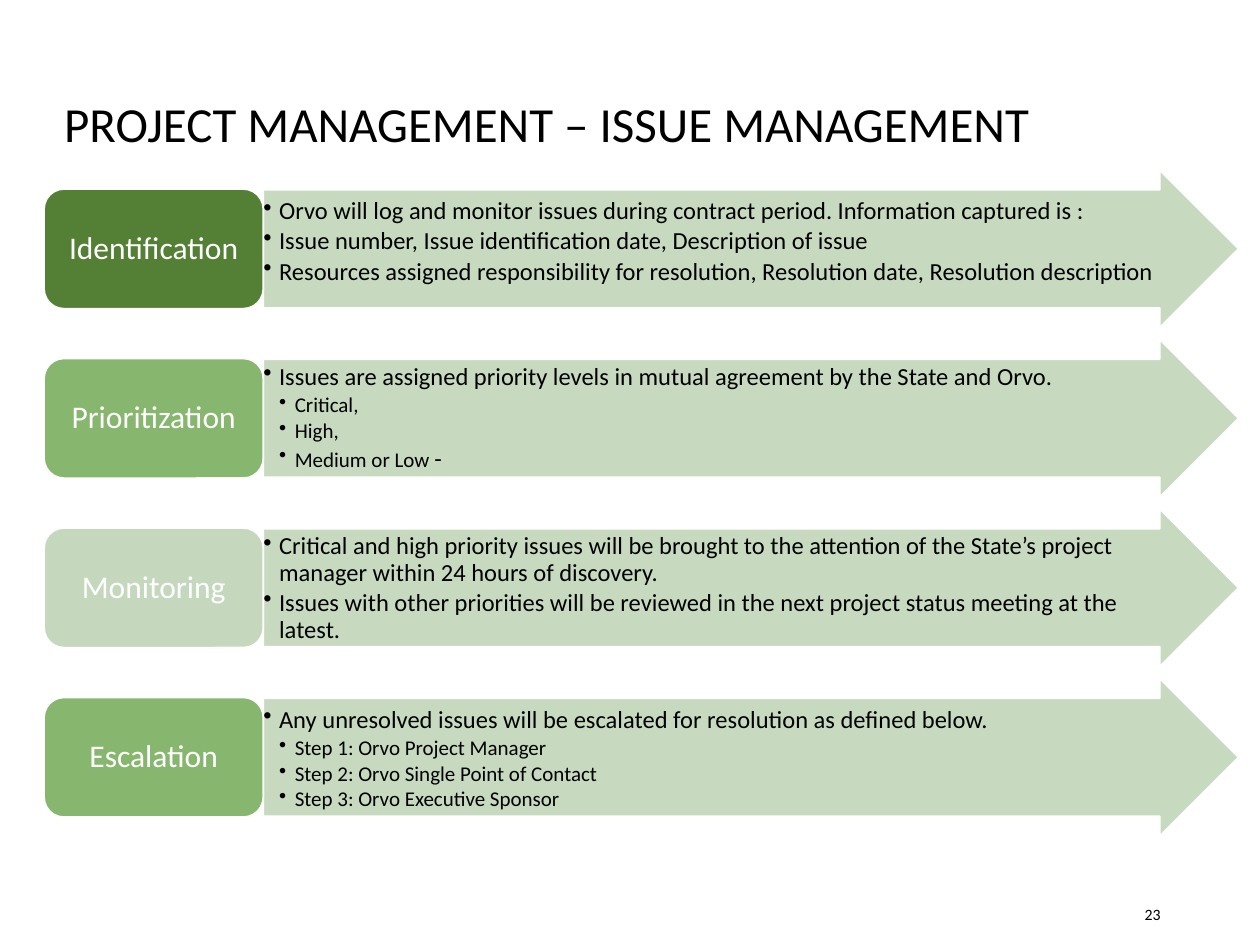
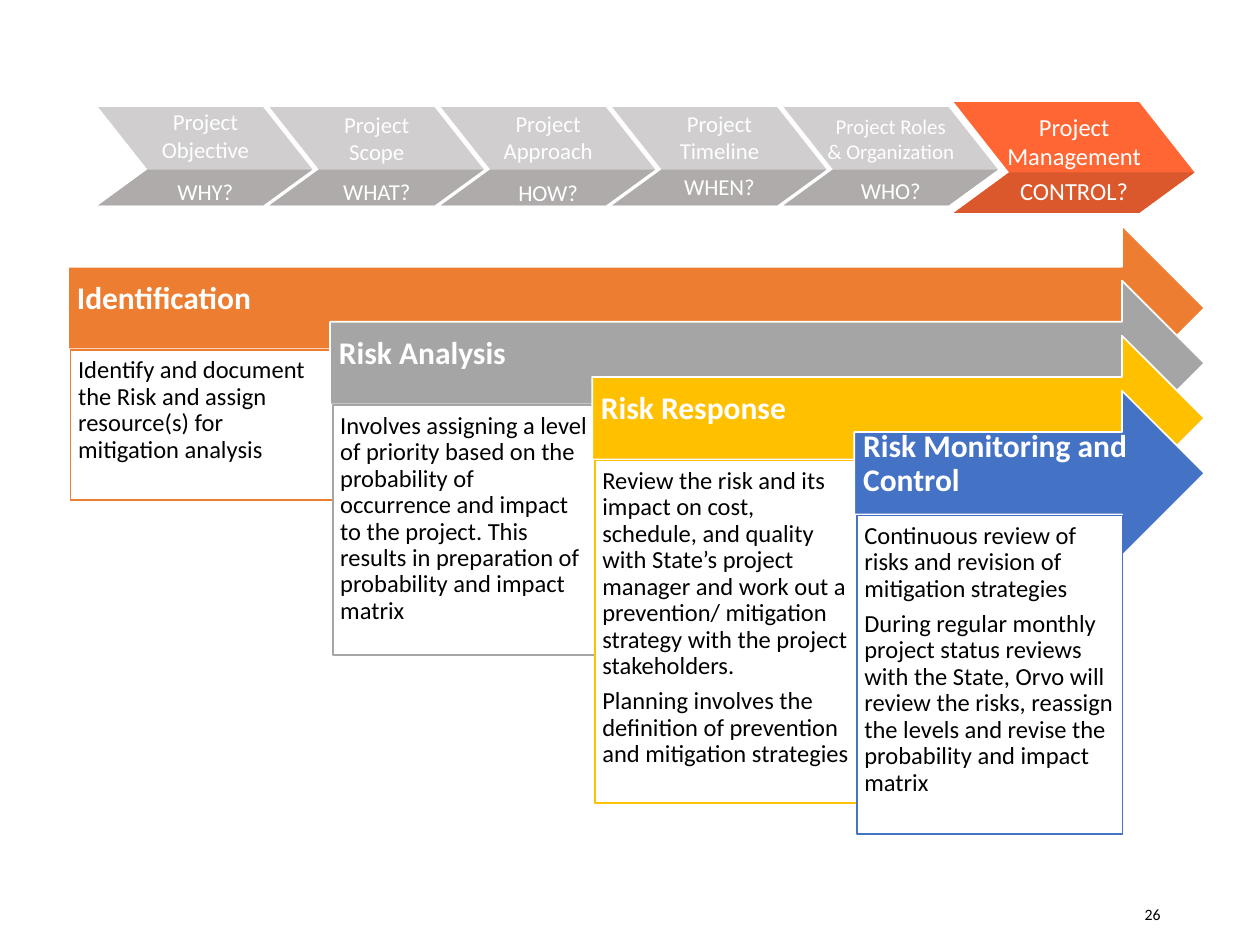
from dataclasses import dataclass

from pptx import Presentation
from pptx.dml import color
from pptx.enum import shapes, text
from pptx.oxml import xmlchemy
from pptx.util import Inches, Pt


@dataclass(frozen=True)
class Theme:
    font: str = "Calibri"
    ink: str = "000000"
    paper: str = "FFFFFF"
    pale_green: str = "C2D7B9"
    dark_green: str = "538035"
    mid_green: str = "87B76E"
    light_green: str = "C5D8BD"
    orange: str = "ED7D31"
    grey: str = "A5A5A5"
    gold: str = "FFC000"
    blue: str = "4472C4"
    past_stage: tuple = ("D0CECE", "AFABAB")
    current_stage: tuple = ("FF6633", "DB582C")
    title_size: int = 28
    heading_size: int = 18
    body_size: int = 14
    stage_size: int = 13
    detail_size: int = 12
    number_size: int = 9
    tight: float = 0.9


THEME = Theme()
LEFT, CENTER, RIGHT = text.PP_ALIGN.LEFT, text.PP_ALIGN.CENTER, text.PP_ALIGN.RIGHT
TOP, MIDDLE = text.MSO_ANCHOR.TOP, text.MSO_ANCHOR.MIDDLE
DEFAULT_INSETS = (0.1, 0.05, 0.1, 0.05)

ISSUE_ROWS = [
    ("Identification", THEME.dark_green, 0.07, [
        (0, "Orvo will log and monitor issues during contract period. Information captured is :"),
        (0, "Issue number, Issue identification date, Description of issue"),
        (0, "Resources assigned responsibility for resolution, Resolution date, Resolution description"),
    ]),
    ("Prioritization", THEME.mid_green, 0.04, [
        (0, "Issues are assigned priority levels in mutual agreement by the State and Orvo."),
        (1, "Critical,"),
        (1, "High,"),
        (1, "Medium or Low ", "-"),
    ]),
    ("Monitoring", THEME.light_green, 0.04, [
        (0, "Critical and high priority issues will be brought to the attention of the State’s "
            "project manager within 24 hours of discovery."),
        (0, "Issues with other priorities will be reviewed in the next project status meeting "
            "at the latest."),
    ]),
    ("Escalation", THEME.mid_green, 0.07, [
        (0, "Any unresolved issues will be escalated for resolution as defined below."),
        (1, "Step 1: Orvo Project Manager"),
        (1, "Step 2: Orvo Single Point of Contact"),
        (1, "Step 3: Orvo Executive Sponsor"),
    ]),
]

RISK_STEPS = [
    ("Identification", THEME.orange, 2.08, 1.19, [
        "Identify and document the Risk and assign resource(s) for mitigation analysis"]),
    ("Risk Analysis", THEME.grey, 2.08, 1.98, [
        "Involves assigning a level of priority based on the probability of occurrence and "
        "impact to the project. This results in preparation of probability and impact matrix"]),
    ("Risk Response", THEME.gold, 2.08, 2.72, [
        "Review the risk and its impact on cost, schedule, and quality with State’s project "
        "manager and work out a prevention/ mitigation strategy with the project stakeholders.",
        "Planning involves the definition of prevention and mitigation strategies"]),
    ("Risk Monitoring and Control", THEME.blue, 2.11, 2.53, [
        "Continuous review of risks and revision of mitigation strategies",
        "During regular monthly project status reviews with the State, Orvo will review the "
        "risks, reassign the levels and revise the probability and impact matrix"]),
]

PAST_STAGES = [
    (["Project", "Objective"], THEME.stage_size, 0.81, "WHY?", 1.36),
    (["Project", "Scope"], THEME.stage_size, 0.83, "WHAT?", 1.36),
    (["Project", "Approach"], THEME.stage_size, 0.82, "HOW?", 1.37),
    (["Project", "Timeline"], THEME.stage_size, 0.82, "WHEN?", 1.32),
    (["Project Roles", "& Organization"], THEME.detail_size, 0.85, "WHO?", 1.35),
]


def rgb(code):
    return color.RGBColor.from_string(code)


def set_frame(box, anchor, insets=DEFAULT_INSETS):
    frame = box.text_frame
    frame.word_wrap = True
    frame.auto_size = text.MSO_AUTO_SIZE.NONE
    frame.vertical_anchor = anchor
    (frame.margin_left, frame.margin_top,
     frame.margin_right, frame.margin_bottom) = map(Inches, insets)
    return frame


def next_para(frame, align, line_spacing=1.0, gap=0):
    para = frame.paragraphs[0]
    if para.runs:
        para = frame.add_paragraph()
    para.alignment = align
    para.line_spacing = line_spacing
    para.space_before = Pt(0)
    para.space_after = Pt(gap)
    return para


def add_span(para, words, size, ink=THEME.ink, bold=False):
    span = para.add_run()
    span.text = words
    span.font.name = THEME.font
    span.font.size = Pt(size)
    span.font.bold = bold
    span.font.color.rgb = rgb(ink)


def write_lines(frame, lines, size, ink=THEME.ink, align=LEFT, tight=True):
    for line in lines:
        spacing = (THEME.tight, size * 0.35) if tight else (1.0, 0)
        add_span(next_para(frame, align, *spacing), line, size, ink)


def write_bullets(frame, lines):
    sizes = (THEME.body_size, THEME.detail_size)
    for depth, lead, *rest in lines:
        para = next_para(frame, LEFT, THEME.tight, sizes[depth] * 0.15)
        para.level = depth
        props = para._p.get_or_add_pPr()
        props.set("marL", str(Inches(0.125 * (depth + 1))))
        props.set("indent", str(Inches(-0.125)))
        bullet = xmlchemy.OxmlElement("a:buChar")
        bullet.set("char", "•")
        props.append(bullet)
        add_span(para, lead, sizes[depth])
        for words in rest:
            add_span(para, words, THEME.body_size)


def paint(shape, fill, line=None, opacity=None):
    shape.shadow.inherit = False
    shape.fill.solid()
    shape.fill.fore_color.rgb = rgb(fill)
    if opacity:
        alpha = xmlchemy.OxmlElement("a:alpha")
        alpha.set("val", str(opacity * 1000))
        shape.fill._xPr.solidFill[0].append(alpha)
    if line:
        shape.line.color.rgb = rgb(line)
        shape.line.width = Pt(1)
    else:
        shape.line.fill.background()


def add_block(page, kind, place, fill, line=THEME.paper, opacity=None):
    shape = page.shapes.add_shape(kind, *map(Inches, place))
    paint(shape, fill, line, opacity)
    return shape


def add_arrow(page, place, fill, shaft, opacity=None):
    arrow = add_block(page, shapes.MSO_SHAPE.RIGHT_ARROW, place, fill, opacity=opacity)
    arrow.adjustments[0] = shaft
    arrow.adjustments[1] = 0.5
    return arrow


def add_label(page, place, lines, size, ink=THEME.paper, align=CENTER, anchor=TOP):
    box = page.shapes.add_textbox(*map(Inches, place))
    write_lines(set_frame(box, anchor), lines, size, ink, align, tight=False)


def add_outline(page, points, fill):
    corners = [(Inches(x), Inches(y)) for x, y in points]
    builder = page.shapes.build_freeform(*corners[0])
    builder.add_line_segments(corners[1:], close=True)
    paint(builder.convert_to_shape(), fill)


def add_chevron(page, left, top, width, height, fills):
    notch, waist, bottom = width * 0.23, top + height * 0.635, top + height
    shoulder, tip = left + width - notch, left + width
    lower = [(tip, waist), (left + notch, waist), (left, bottom), (shoulder, bottom)]
    upper = [(tip, waist), (shoulder, top), (left, top)] + lower[1:]
    add_outline(page, upper, fills[0])
    add_outline(page, lower, fills[1])


def add_stage(page, place, fills, names, name_size, name_top, question, question_size, question_top):
    left, _, width, _ = place
    add_chevron(page, *place, fills)
    add_label(page, (left, name_top, width, 0.54), names, name_size)
    add_label(page, (left, question_top, width, 0.32), [question], question_size)


def add_page_number(page, number):
    add_label(page, (7.06, 7.06, 2.25, 0.4), [number], THEME.number_size,
              THEME.ink, RIGHT, MIDDLE)


def add_title(page, words):
    title = page.shapes.title
    title.left, title.top, title.width, title.height = map(Inches, (0.41, 0.68, 8.71, 0.65))
    para = next_para(set_frame(title, MIDDLE), LEFT, THEME.tight)
    add_span(para, words, THEME.title_size)


def add_issue_row(page, top, name, fill, list_inset, lines):
    arrow = add_arrow(page, (2.09, top - 0.15, 7.74, 1.25), THEME.pale_green, 0.75, 90)
    write_bullets(set_frame(arrow, TOP, (0, list_inset, 0, 0)), lines)
    tile = add_block(page, shapes.MSO_SHAPE.ROUNDED_RECTANGLE, (0.35, top, 1.74, 0.95), fill)
    frame = set_frame(tile, MIDDLE, (0.07, 0.04, 0.07, 0.04))
    para = next_para(frame, CENTER, THEME.tight)
    add_span(para, name, THEME.heading_size, THEME.paper)


def add_risk_step(page, left, top, name, fill, width, height, lines):
    arrow = add_arrow(page, (left, top, 9.56 - left, 1.31), fill, 0.5)
    frame = set_frame(arrow, MIDDLE, (0.07, 0.07, 0.27, 0.21))
    para = next_para(frame, LEFT, THEME.tight)
    add_span(para, name, THEME.heading_size, THEME.paper, bold=True)
    card = add_block(page, shapes.MSO_SHAPE.RECTANGLE,
                     (left + 0.02, top + 0.99, width, height), THEME.paper, fill)
    write_lines(set_frame(card, TOP, (0.06,) * 4), lines, THEME.body_size)


def build_issue_page(deck):
    page = deck.slides.add_slide(deck.slide_layouts[5])
    add_title(page, "PROJECT MANAGEMENT – ISSUE MANAGEMENT")
    add_page_number(page, "23")
    for index, row in enumerate(ISSUE_ROWS):
        add_issue_row(page, 1.5 + index * 1.345, *row)


def build_risk_page(deck):
    page = deck.slides.add_slide(deck.slide_layouts[6])
    add_page_number(page, "26")
    for index, step in enumerate(RISK_STEPS):
        add_risk_step(page, 0.54 + index * 2.08, 1.79 + index * 0.437, *step)
    for index, (names, size, name_top, question, question_top) in enumerate(PAST_STAGES):
        add_stage(page, (0.78 + index * 1.36, 0.85, 1.7, 0.78), THEME.past_stage,
                  names, size, name_top, question, THEME.stage_size, question_top)
    add_stage(page, (7.57, 0.81, 1.91, 0.88), THEME.current_stage,
              ["Project", "Management"], THEME.body_size, 0.84,
              "CONTROL?", THEME.body_size, 1.35)


def main():
    deck = Presentation()
    deck.slide_width, deck.slide_height = Inches(10), Inches(7.5)
    build_issue_page(deck)
    build_risk_page(deck)
    deck.save("out.pptx")


if __name__ == "__main__":
    main()
